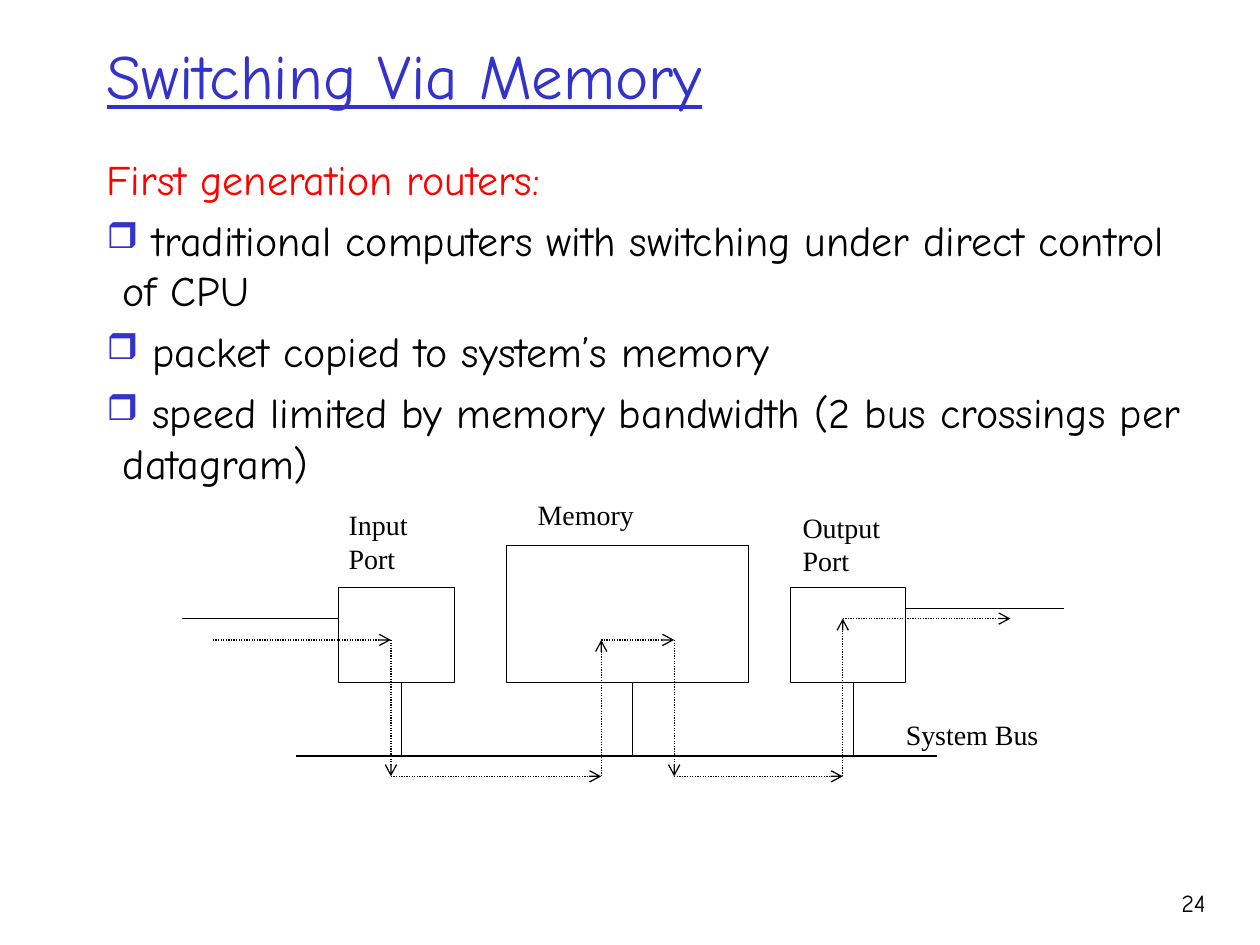
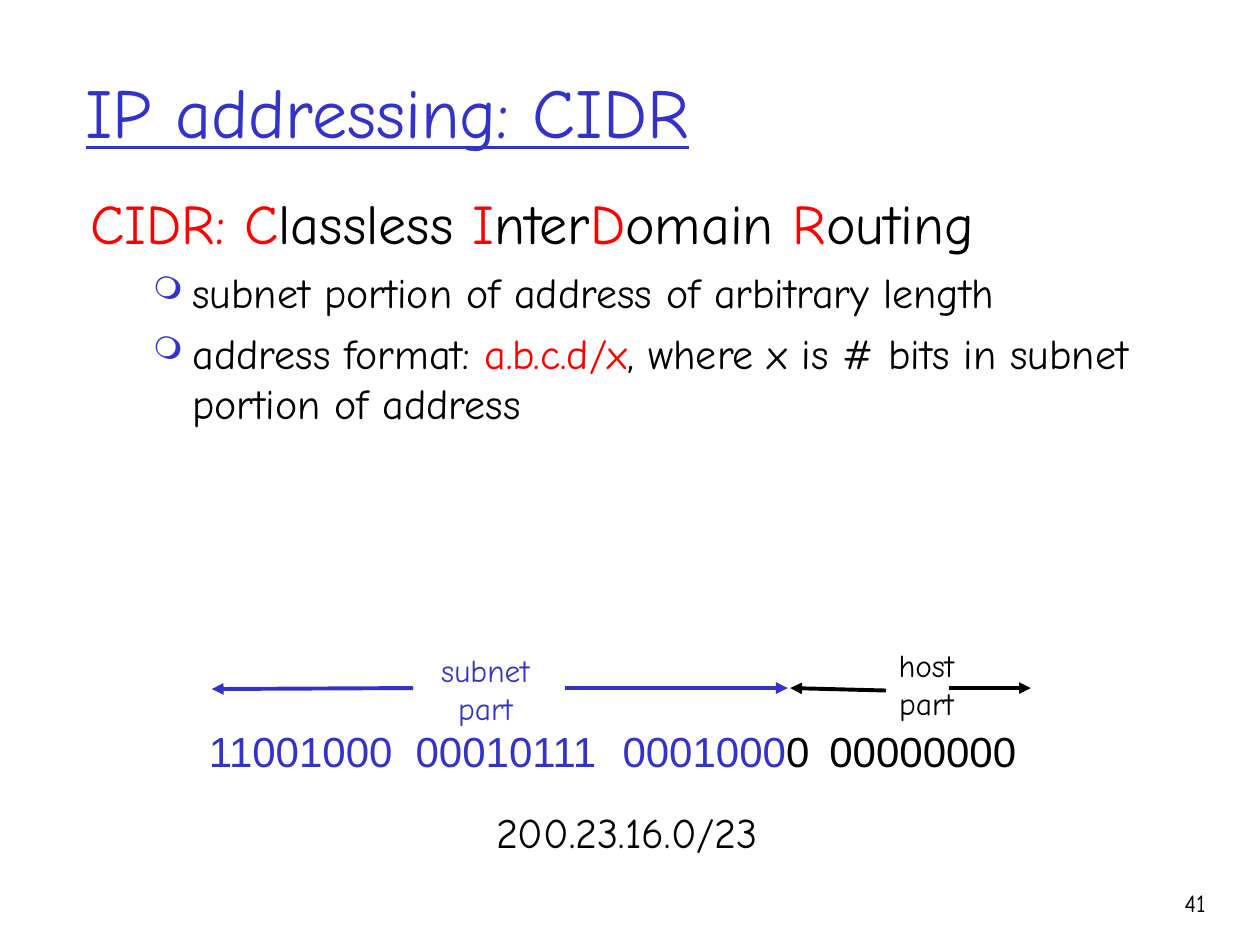
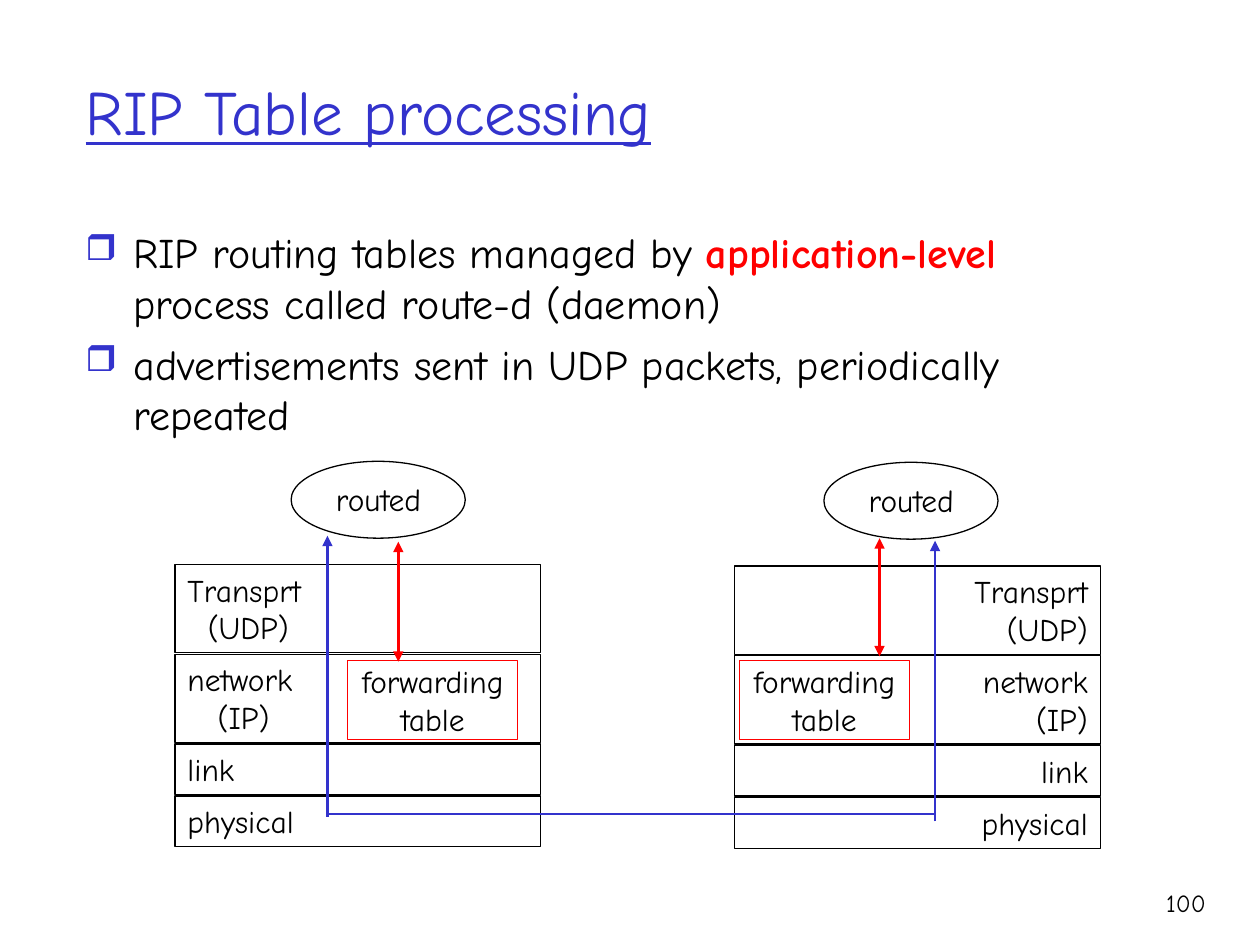
from lxml import etree
from pptx import Presentation
from pptx.dml.color import RGBColor
from pptx.enum.dml import MSO_LINE
from pptx.enum.shapes import MSO_CONNECTOR, MSO_SHAPE
from pptx.enum.text import MSO_ANCHOR, MSO_AUTO_SIZE, PP_ALIGN
from pptx.oxml.ns import qn
from pptx.util import Cm, Pt

# Shared look
BLUE, RED, BLACK = "3333CC", "FF0000", "000000"
COMIC, SERIF, SANS = "Comic Neue", "Times New Roman", "Arial"
LEFT, MID, RIGHT = PP_ALIGN.LEFT, PP_ALIGN.CENTER, PP_ALIGN.RIGHT
TOP, CENTRE = MSO_ANCHOR.TOP, MSO_ANCHOR.MIDDLE
FIT, FIXED = MSO_AUTO_SIZE.SHAPE_TO_FIT_TEXT, MSO_AUTO_SIZE.NONE
RECT, OVAL = MSO_SHAPE.RECTANGLE, MSO_SHAPE.OVAL
STRAIGHT, DOTS = MSO_CONNECTOR.STRAIGHT, MSO_LINE.ROUND_DOT

# Bullet styles: indents in cm, size of the mark in percent
NARROW = dict(mark="❒", scale=85, left=0.33, hang=0.33, before=6)
SQUARE = dict(mark="❒", scale=85, left=0.97, hang=0.97, before=6)
CIRCLE = dict(mark="❍", scale=75, left=2.06, hang=0.79, before=6)


def paint(text):
    return RGBColor.from_string(text)


def add_xml(parent, tag, **attrs):
    node = etree.SubElement(parent, qn(tag))
    for key, value in attrs.items():
        node.set(key, str(value))
    return node


def write(frame, text, size=24, color=BLACK, font=COMIC, align=LEFT,
          under=False, before=0, left=0, hang=0, mark=None, scale=100):
    """Add a paragraph; text is a string or a list of (text, color, bold)."""
    para = frame.paragraphs[0]
    if para.runs:
        para = frame.add_paragraph()
    para.alignment = align
    para.space_before = Pt(before)
    props = para._p.get_or_add_pPr()
    props.set("marL", str(Cm(left)))
    props.set("indent", str(-Cm(hang)))
    if mark:
        tint = add_xml(props, "a:buClr")
        add_xml(tint, "a:srgbClr", val=BLUE)
        add_xml(props, "a:buSzPct", val=scale * 1000)
        add_xml(props, "a:buChar", char=mark)
    parts = [(text, color, False)] if isinstance(text, str) else text
    for words, tone, bold in parts:
        run = para.add_run()
        run.text = words
        run.font.size = Pt(size)
        run.font.name = font
        run.font.bold = bold
        run.font.underline = under
        run.font.color.rgb = paint(tone)


def text_box(slide, x, y, w, h, lines=(), wrap=False, **style):
    box = slide.shapes.add_textbox(Cm(x), Cm(y), Cm(w), Cm(h))
    frame = box.text_frame
    frame.word_wrap = wrap
    frame.auto_size = FIXED if wrap else FIT
    for line in lines:
        write(frame, line, **style)
    return frame


def outline(slide, kind, x, y, w, h, color=BLACK):
    shape = slide.shapes.add_shape(kind, Cm(x), Cm(y), Cm(w), Cm(h))
    shape.shadow.inherit = False
    shape.fill.background()
    shape.line.color.rgb = paint(color)
    shape.line.width = Pt(0.75)
    shape.text_frame.vertical_anchor = TOP
    return shape.text_frame


def link(slide, start, end, color=BLACK, width=0.75, dash=None,
         head=None, tail=None):
    x1, y1, x2, y2 = map(Cm, (*start, *end))
    line = slide.shapes.add_connector(STRAIGHT, x1, y1, x2, y2)
    line.line.color.rgb = paint(color)
    line.line.width = Pt(width)
    if dash:
        line.line.dash_style = dash
    stroke = line.line._get_or_add_ln()
    if head:
        add_xml(stroke, "a:headEnd", type=head)
    if tail:
        add_xml(stroke, "a:tailEnd", type=tail)
    add_xml(line._element.spPr, "a:effectLst")


def new_slide(deck, title, number, x=1.47, h=3.18, size=36):
    slide = deck.slides.add_slide(deck.slide_layouts[5])
    head = slide.shapes.title
    head.left, head.top, head.width, head.height = map(Cm, (x, 0.64, 21.59, h))
    frame = head.text_frame
    frame.word_wrap = True
    frame.auto_size = FIXED
    frame.vertical_anchor = CENTRE
    write(frame, title, size=size, color=BLUE, under=True)
    text_box(slide, 22.68, 17.78, 1.88, 1.27, [number], wrap=True,
             size=14, align=RIGHT)
    return slide


def memory_slide(deck):
    slide = new_slide(deck, "Switching Via Memory", "24", x=1.9, h=1.7)
    body = text_box(slide, 1.9, 2.97, 22.3, 7.19, wrap=True)
    write(body, "First generation routers:", color=RED, before=6,
          left=0.33, hang=0.33)
    for point in (
            " traditional computers with switching under direct control of CPU",
            " packet copied to system’s memory",
            " speed limited by memory bandwidth (2 bus crossings per datagram)"):
        write(body, point, **NARROW)

    # Ports, memory and bus
    base, bus = 13.76, 15.24
    for x, y, w in ((6.83, 11.85, 2.33), (15.93, 11.85, 2.33), (10.21, 11, 4.88)):
        outline(slide, RECT, x, y, w, base - y)
    link(slide, (5.97, bus), (18.89, bus))
    for x in (8.1, 12.75, 17.2):
        link(slide, (x, base), (x, bus))
    link(slide, (6.83, 12.47), (3.66, 12.47))
    link(slide, (21.44, 12.26), (18.26, 12.26))

    # Route of a packet
    high, low = 12.9, 15.65
    route = [(4.29, high), (7.88, high), (7.88, low), (12.12, low),
             (12.12, high), (13.59, high), (13.59, low), (16.99, low),
             (16.99, 12.47), (20.37, 12.47)]
    for start, end in zip(route, route[1:]):
        link(slide, start, end, dash=DOTS, tail="arrow")

    # Labels
    for x, y, w, h, lines in (
            (6.78, 10.11, 1.75, 1.63, ["Input", "Port"]),
            (15.93, 10.16, 2.2, 1.63, ["Output", "Port"]),
            (10.59, 9.91, 2.5, 0.94, ["Memory"]),
            (18.01, 14.35, 3.25, 0.94, ["System Bus"])):
        text_box(slide, x, y, w, h, lines, size=16, font=SERIF)


def cidr_slide(deck):
    slide = new_slide(deck, "IP addressing: CIDR", "41", size=40)
    body = text_box(slide, 1.57, 3.68, 22.53, 8.81, wrap=True)
    name = [("CIDR: C", RED), ("lassless ", BLACK), ("I", RED), ("nter", BLACK),
            ("D", RED), ("omain ", BLACK), ("R", RED), ("outing", BLACK)]
    write(body, [(words, tone, False) for words, tone in name], size=32,
          before=8, left=0.97, hang=0.97)
    write(body, "subnet portion of address of arbitrary length", **CIRCLE)
    write(body, [("address format: ", BLACK, False), ("a.b.c.d/x", RED, False),
                 (", where x is # bits in subnet portion of address",
                  BLACK, False)], **CIRCLE)

    # Address in bits, one box for each byte
    split = [("0001000", BLUE, False), ("0", BLACK, False)]
    octets = (("11001000", BLUE), ("00010111", BLUE), (split, BLACK),
              ("00000000", BLACK))
    for i, (bits, color) in enumerate(octets):
        text_box(slide, 3.96 + 4.17 * i, 14.5, 4.4, 1.27, [bits], color=color,
                 font=SANS)

    # Its two parts
    text_box(slide, 8.64, 13, 2.29, 1.78, ["subnet", "part"], size=18,
             color=BLUE, align=MID)
    text_box(slide, 17.86, 12.9, 1.63, 1.78, ["host", "part"], size=18, align=MID)
    for start, end, color in (
            ((11.38, 13.87), (15.88, 13.87), BLUE),
            ((8.33, 13.87), (4.27, 13.89), BLUE),
            ((17.86, 13.92), (15.93, 13.87), BLACK),
            ((19.13, 13.87), (20.78, 13.87), BLACK)):
        link(slide, start, end, color, 2.25, tail="triangle")
    text_box(slide, 9.75, 16.13, 5.79, 1.27, ["200.23.16.0/23"])


def stack(slide, x, y, align, dents):
    """Draw a protocol stack; dents indent the second lines of its layers."""
    layers = (("Transprt", "(UDP)"), ("network", "(IP)"), ("link",),
              ("physical",))
    for layer in layers:
        tall = 1.78 if len(layer) > 1 else 1.02
        frame = outline(slide, RECT, x, y, 7.37, tall)
        frame.word_wrap = True
        for text in layer:
            write(frame, text, size=18, align=align, left=dents.get(text, 0))
        y += tall + 0.03


def daemon(slide, x, y):
    outline(slide, OVAL, x, y, 3.51, 1.55)
    text_box(slide, x + 0.65, y + 0.25, 2.26, 1.02, ["routed"], size=18)


def table_box(slide, x, y):
    frame = outline(slide, RECT, x, y, 3.43, 1.6, RED)
    frame.word_wrap = False
    frame.vertical_anchor = CENTRE
    for word in ("forwarding", "table"):
        write(frame, word, size=18, align=MID)


def rip_slide(deck):
    slide = new_slide(deck, "RIP Table processing", "100")
    body = text_box(slide, 1.47, 4.45, 21.59, 12.9, wrap=True)
    write(body, [("RIP routing tables managed by ", BLACK, False),
                 ("application-level", RED, True),
                 (" process called route-d (daemon)", BLACK, False)], **SQUARE)
    write(body, "advertisements sent in UDP packets, periodically repeated",
          **SQUARE)

    # Two hosts
    stack(slide, 3.53, 11.38, LEFT, {"(UDP)": 0.41, "(IP)": 0.61})
    stack(slide, 14.81, 11.41, RIGHT, {})
    daemon(slide, 5.87, 9.3)
    daemon(slide, 16.61, 9.32)
    for x in (7.01, 14.91):
        table_box(slide, x, 13.31)

    # Message paths
    link(slide, (6.6, 16.46), (6.6, 10.8), BLUE, 1.5, tail="triangle")
    link(slide, (18.85, 16.56), (18.85, 10.9), BLUE, 1.5, tail="triangle")
    link(slide, (6.6, 16.41), (18.87, 16.41), BLUE, 1.5)
    for x, y, end in ((8.03, 10.92, 13.34), (17.73, 10.85, 13.23)):
        link(slide, (x, y), (x, end), RED, 1.5, head="triangle", tail="triangle")


def main():
    deck = Presentation()
    deck.slide_width, deck.slide_height = Cm(25.4), Cm(19.05)
    memory_slide(deck)
    cidr_slide(deck)
    rip_slide(deck)
    deck.save("out.pptx")


if __name__ == "__main__":
    main()
